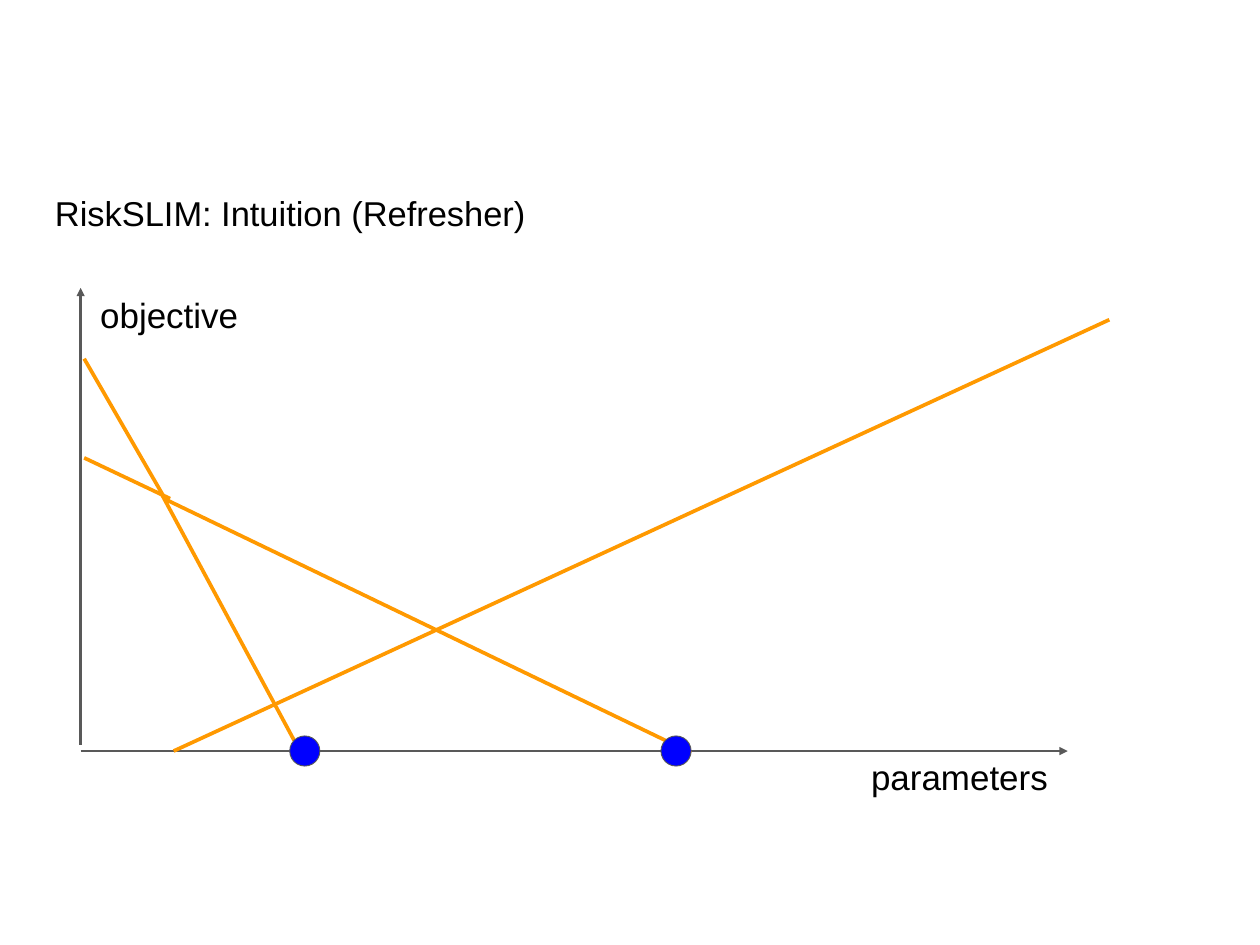
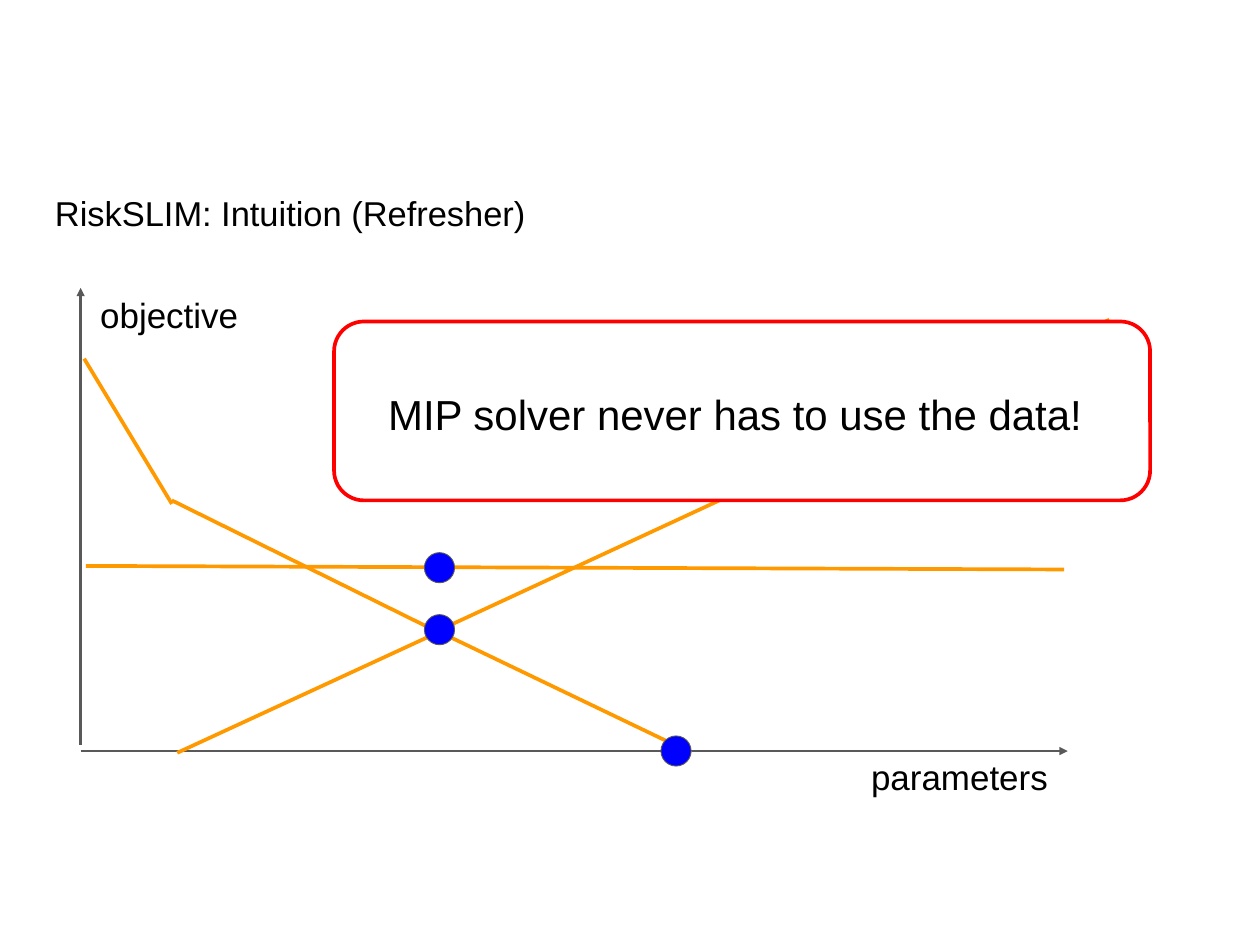
import pptx
import pptx.util
import pptx.dml.color
import pptx.enum.shapes
import pptx.enum.text
import pptx.oxml.ns
from lxml import etree

Inches = pptx.util.Inches
Pt = pptx.util.Pt
SHAPE = pptx.enum.shapes.MSO_SHAPE

FONT = "Arial"
BLACK, WHITE, GREY = "000000", "FFFFFF", "595959"
ORANGE, BLUE, RED = "FF9900", "0000FF", "FF0000"
INSET = 0.14
DOT = 0.34
TITLE = (0.48, 2.03, 13.25, 0.89)
PLOT = (0.91, 3.25, 11.14, 5.23)
CALLOUT = (3.77, 3.63, 9.21, 2.02)

CUTS = [
    [
        (0.04, 0.8, 0.94, 2.36),
        (0.94, 2.38, 6.89, 5.25),
        (0.92, 2.34, 2.41, 5.11),
        (0.04, 1.92, 1.01, 2.38),
        (1.05, 5.23, 11.61, 0.36),
    ],
    [
        (0.04, 0.8, 1.03, 2.44),
        (4.08, 3.9, 6.89, 5.25),
        (4.06, 3.86, 11.61, 0.36),
        (1.09, 5.25, 4.1, 3.86),
        (1.03, 2.4, 4.1, 3.92),
        (0.06, 3.14, 11.1, 3.18),
    ],
]
DOTS = [
    [(2.53, 5.23), (6.72, 5.23)],
    [(6.72, 5.23), (4.05, 3.86), (4.05, 3.16)],
]


def color(code):
    return pptx.dml.color.RGBColor.from_string(code)


def label(shapes, box, text, size):
    frame = shapes.add_textbox(*map(Inches, box)).text_frame
    frame.word_wrap = True
    frame.vertical_anchor = pptx.enum.text.MSO_ANCHOR.TOP
    frame.margin_left = frame.margin_right = Inches(INSET)
    frame.margin_top = frame.margin_bottom = Inches(INSET)
    run = frame.paragraphs[0].add_run()
    run.text = text
    run.font.name = FONT
    run.font.size = Pt(size)
    run.font.color.rgb = color(BLACK)


def shape(shapes, kind, box, fill, edge, width):
    item = shapes.add_shape(kind, *map(Inches, box))
    item.shadow.inherit = False
    item.fill.solid()
    item.fill.fore_color.rgb = color(fill)
    item.line.color.rgb = color(edge)
    item.line.width = Pt(width)


def line(shapes, box, ends, code, width, arrow=False):
    left, top = box[:2]
    x1, y1, x2, y2 = ends
    item = shapes.add_connector(
        pptx.enum.shapes.MSO_CONNECTOR.STRAIGHT,
        Inches(left + x1), Inches(top + y1),
        Inches(left + x2), Inches(top + y2))
    item.line.color.rgb = color(code)
    item.line.width = Pt(width)
    if arrow:
        tail = etree.SubElement(item.line._get_or_add_ln(),
                                pptx.oxml.ns.qn("a:tailEnd"))
        tail.set("type", "triangle")
    etree.SubElement(item._element.spPr, pptx.oxml.ns.qn("a:effectLst"))


def axes(shapes, box):
    left, top, width, height = box
    line(shapes, box, (0, height - 0.07, 0, 0), GREY, 2.25, True)
    line(shapes, box, (0, height, width, height), GREY, 2.25, True)
    label(shapes, (left + width - 2.36, top + height - 0.09, 2.95, 0.71),
          "parameters", 28.4)
    label(shapes, (left + 0.08, top - 0.07, 2.95, 0.71), "objective", 28.4)


def plot(shapes, box, cuts, dots):
    axes(shapes, box)
    for ends in cuts:
        line(shapes, box, ends, ORANGE, 3)
    for x, y in dots:
        spot = (box[0] + x - DOT / 2, box[1] + y - DOT / 2, DOT, DOT)
        shape(shapes, SHAPE.OVAL, spot, BLUE, GREY, 0.75)


def callout(shapes, box, text):
    left, top, width, height = box
    group = shapes.add_group_shape().shapes
    shape(group, SHAPE.FLOWCHART_ALTERNATE_PROCESS, box, WHITE, RED, 3)
    label(group, (left + 0.47, top + 0.62, width - 0.93, 0.99), text, 34.1)


def page(deck, cuts, dots):
    shapes = deck.slides.add_slide(deck.slide_layouts[6]).shapes
    label(shapes, TITLE, "RiskSLIM: Intuition (Refresher)", 28)
    plot(shapes, PLOT, cuts, dots)
    return shapes


def main():
    deck = pptx.Presentation()
    deck.slide_width = Inches(14.22)
    deck.slide_height = Inches(10.67)
    pages = [page(deck, cuts, dots) for cuts, dots in zip(CUTS, DOTS)]
    callout(pages[1], CALLOUT, "MIP solver never has to use the data!")
    deck.save("out.pptx")


if __name__ == "__main__":
    main()
